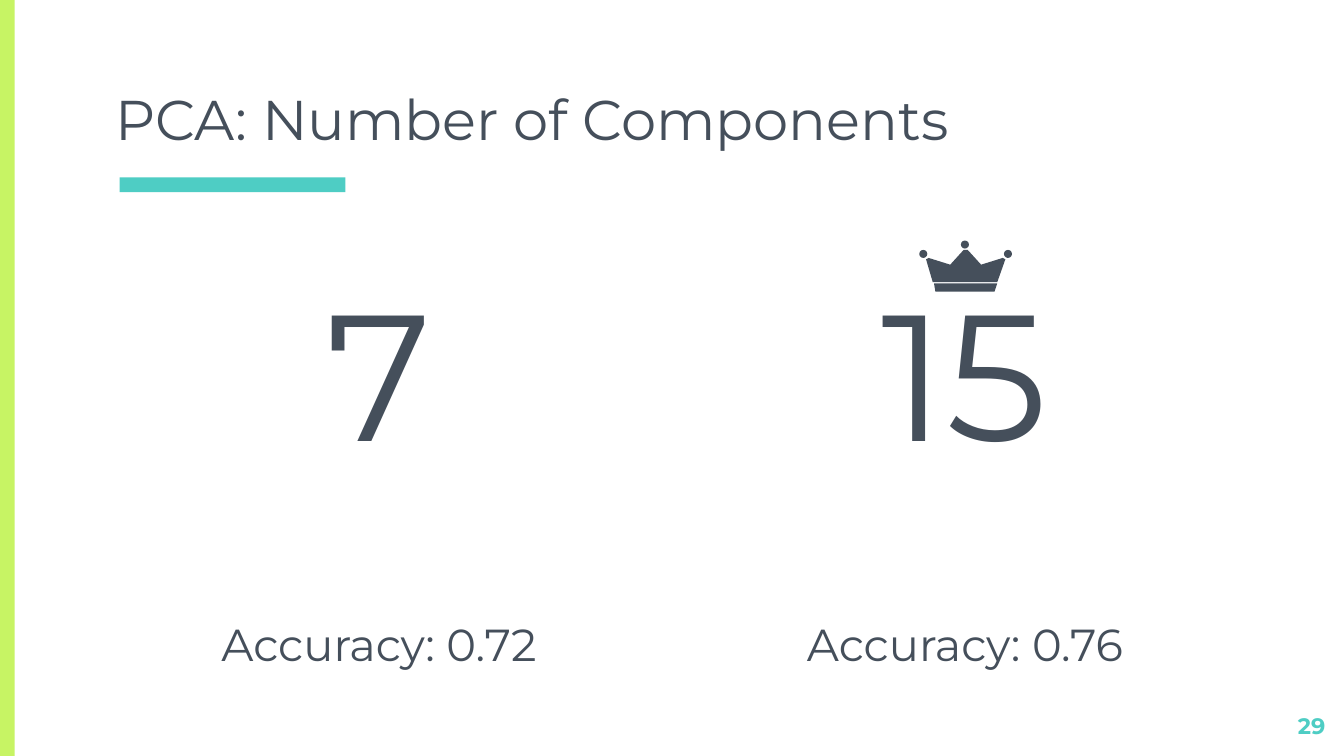
"""Build the slide that compares two PCA component counts."""
from dataclasses import dataclass

from lxml import etree
from pptx import Presentation
from pptx.dml.color import RGBColor
from pptx.enum.shapes import MSO_SHAPE
from pptx.enum.text import MSO_ANCHOR, MSO_AUTO_SIZE, PP_ALIGN
from pptx.oxml.ns import qn
from pptx.shapes.autoshape import Shape
from pptx.shapes.base import BaseShape
from pptx.slide import Slide
from pptx.text.text import TextFrame, _Paragraph
from pptx.util import Inches, Pt

RECT, OVAL = MSO_SHAPE.RECTANGLE, MSO_SHAPE.OVAL
LEFT, CENTER, RIGHT = PP_ALIGN.LEFT, PP_ALIGN.CENTER, PP_ALIGN.RIGHT
TOP, BOTTOM = MSO_ANCHOR.TOP, MSO_ANCHOR.BOTTOM
FIXED = MSO_AUTO_SIZE.NONE


@dataclass(frozen=True)
class Theme:
    font: str = "Montserrat"
    ink: RGBColor = RGBColor(0x45, 0x4F, 0x5B)
    teal: RGBColor = RGBColor(0x4E, 0xCD, 0xC4)
    lime: RGBColor = RGBColor(0xC7, 0xF4, 0x64)
    title: int = 30
    count: int = 96
    score: int = 24
    page: int = 12


@dataclass(frozen=True)
class Box:
    left: float
    top: float
    width: float
    height: float


@dataclass(frozen=True)
class Result:
    box: Box
    count: str
    score: str


@dataclass(frozen=True)
class Bar:
    box: Box
    color: RGBColor


THEME = Theme()
WIDTH = 10
HEIGHT = WIDTH * 9 / 16
BARS = (
    Bar(Box(0, 0, 0.11, HEIGHT), THEME.lime),
    Bar(Box(0.89, 1.32, 1.68, 0.11), THEME.teal),
)
RESULTS = (
    Result(Box(0.76, 1.85, 4.12, 3.19), "7", "Accuracy: 0.72"),
    Result(Box(5.12, 1.85, 4.12, 3.19), "15", "Accuracy: 0.76"),
)
JEWEL = 0.06
JEWELS = ((6.84, 1.86), (7.15, 1.79), (7.47, 1.86))
UNIT = Inches(0.01)
CROWN = (
    ((717, 186), (707, 197), (691, 192), (689, 193), (694, 210),
     (742, 210), (748, 193), (746, 192), (730, 197), (720, 186)),
    ((695, 211), (696, 217), (740, 217), (742, 211)),
)


def place(shape: BaseShape, box: Box) -> None:
    shape.left, shape.top = Inches(box.left), Inches(box.top)
    shape.width, shape.height = Inches(box.width), Inches(box.height)


def paint(shape: Shape, color: RGBColor) -> None:
    shape.shadow.inherit = False
    shape.fill.solid()
    shape.fill.fore_color.rgb = color
    shape.line.fill.background()


def set_frame(frame: TextFrame, anchor: MSO_ANCHOR) -> None:
    frame.word_wrap = True
    frame.auto_size = FIXED
    frame.vertical_anchor = anchor
    frame.margin_left = frame.margin_right = Inches(0.1)
    frame.margin_top = frame.margin_bottom = Inches(0.1)


def write(par: _Paragraph, text: str, size: int, align: PP_ALIGN,
          color: RGBColor = THEME.ink, bold: bool = False,
          before: float = 0) -> None:
    par.alignment = align
    par.space_before = Pt(before)
    run = par.add_run()
    run.text = text
    font = run.font
    font.name, font.size, font.bold = THEME.font, Pt(size), bold
    font.color.rgb = color


def drop_bullet(par: _Paragraph) -> None:
    props = par._p.get_or_add_pPr()
    props.set("marL", "0")
    props.set("indent", "0")
    etree.SubElement(props, qn("a:buNone"))


def add_bar(slide: Slide, bar: Bar) -> None:
    shape = slide.shapes.add_shape(RECT, 0, 0, 0, 0)
    place(shape, bar.box)
    paint(shape, bar.color)


def fill_title(shape: BaseShape, text: str) -> None:
    place(shape, Box(0.76, 0.69, 8.49, 0.54))
    set_frame(shape.text_frame, BOTTOM)
    write(shape.text_frame.paragraphs[0], text, THEME.title, LEFT)


def fill_result(shape: BaseShape, result: Result) -> None:
    place(shape, result.box)
    frame = shape.text_frame
    set_frame(frame, TOP)
    count, score = frame.paragraphs[0], frame.add_paragraph()
    write(count, result.count, THEME.count, CENTER, before=6)
    write(score, result.score, THEME.score, CENTER, before=75)
    drop_bullet(count)
    drop_bullet(score)


def add_page(slide: Slide, text: str) -> None:
    shape = slide.shapes.add_textbox(0, 0, 0, 0)
    place(shape, Box(9.36, 5.2, 0.6, 0.34))
    set_frame(shape.text_frame, TOP)
    write(shape.text_frame.paragraphs[0], text, THEME.page, RIGHT,
          THEME.teal, True)


def add_crown(slide: Slide) -> None:
    group = slide.shapes.add_group_shape()
    for left, top in JEWELS:
        jewel = group.shapes.add_shape(OVAL, 0, 0, 0, 0)
        place(jewel, Box(left, top, JEWEL, JEWEL))
        paint(jewel, THEME.ink)
    for start, *rest in CROWN:
        pen = group.shapes.build_freeform(*start, scale=UNIT)
        pen.add_line_segments(rest, close=True)
        paint(pen.convert_to_shape(), THEME.ink)


def main() -> None:
    deck = Presentation()
    deck.slide_width, deck.slide_height = Inches(WIDTH), Inches(HEIGHT)
    slide = deck.slides.add_slide(deck.slide_layouts[3])
    for bar in BARS:
        add_bar(slide, bar)
    title, *bodies = slide.placeholders
    fill_title(title, "PCA: Number of Components")
    for body, result in zip(bodies, RESULTS):
        fill_result(body, result)
    add_page(slide, "29")
    add_crown(slide)
    deck.save("out.pptx")


if __name__ == "__main__":
    main()
